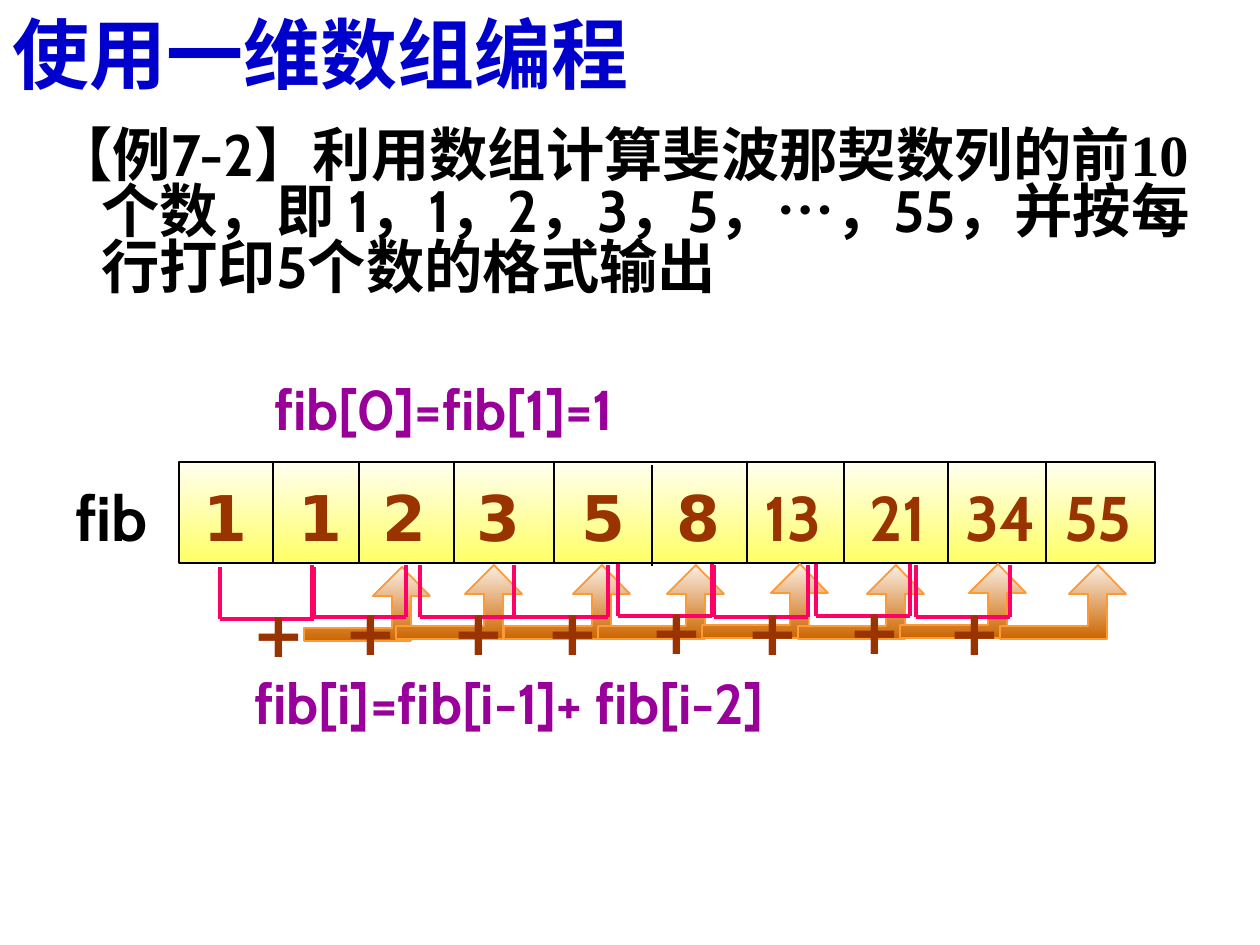
from lxml import etree
from pptx import Presentation
from pptx import util as u
from pptx.dml.color import RGBColor
from pptx.enum import shapes, text
from pptx.oxml.ns import qn

PX = 914400 / 126
BLUE = RGBColor(0x00, 0x00, 0xCC)
BLACK = RGBColor(0x00, 0x00, 0x00)
BROWN = RGBColor(0x99, 0x33, 0x00)
PURPLE = RGBColor(0x99, 0x00, 0x99)
PINK = RGBColor(0xFF, 0x00, 0x66)
ORANGE = RGBColor(0xFF, 0x99, 0x33)
CREAM, YELLOW = RGBColor(0xFF, 0xFF, 0xEF), RGBColor(0xFF, 0xFF, 0x66)
PALE, RUST = RGBColor(0xFA, 0xEF, 0xE5), RGBColor(0xCC, 0x66, 0x00)
CJK = "Noto Sans CJK SC"

presentation = Presentation()
presentation.slide_width, presentation.slide_height = u.Inches(10), u.Inches(7.5)
slide = presentation.slides.add_slide(presentation.slide_layouts[6])


def add_text(box, runs, size, color, align=text.PP_ALIGN.LEFT, wrap=True):
    """Add a one-paragraph text box; runs are (words, font name) pairs."""
    shape = slide.shapes.add_textbox(*(round(value * PX) for value in box))
    shape.text_frame.word_wrap = wrap
    paragraph = shape.text_frame.paragraphs[0]
    paragraph.alignment = align
    for words, font_name in runs:
        run = paragraph.add_run()
        run.text = words
        for name, value in {"name": font_name, "size": u.Pt(size), "bold": True}.items():
            setattr(run.font, name, value)
        run.font.color.rgb = color
        east_asian = etree.SubElement(run.font._element, qn("a:ea"))
        east_asian.set("typeface", CJK)
    return shape


def add_line(x1, y1, x2, y2, color, width):
    line = slide.shapes.add_connector(
        shapes.MSO_CONNECTOR.STRAIGHT, *(round(value * PX) for value in (x1, y1, x2, y2)))
    line.line.color.rgb = color
    line.line.width = u.Pt(width)
    etree.SubElement(line._element.spPr, qn("a:effectLst"))


# Title and task
title = add_text((0, 0, 1092, 105), [("使用一维数组编程", CJK)], 44, BLUE)
title.text_frame.vertical_anchor = text.MSO_ANCHOR.BOTTOM

task = add_text((42, 126, 1187, 231), [
    ("【例", "Times New Roman"),
    ("7-2", "Cabin"),
    ("】利用数组计算斐波那契数列的前10个数，即 ", "Times New Roman"),
    ("1，1，2，3，5，", "Cabin"),
    ("…", "Times New Roman"),
    ("，55，并按每行打印5个数的格式输出", "Cabin"),
], 33.3, BLACK)
task_paragraph = task.text_frame.paragraphs[0]
task_paragraph.line_spacing = 0.8
indent = round(47 * PX)
task_paragraph._p.get_or_add_pPr().set("marL", str(indent))
task_paragraph._p.get_or_add_pPr().set("indent", str(-indent))

# Array row with its dividers
array = slide.shapes.add_shape(
    shapes.MSO_SHAPE.RECTANGLE, *(round(value * PX) for value in (179, 462, 976, 101)))
gradient_shapes = [(array, CREAM, YELLOW, BLACK)]
for x in (273, 359, 454, 554, 652, 747, 844, 948, 1046):
    top = 465 if x == 652 else 462
    add_line(x, top, x, top + 101, BLACK, 1)

# Array name and values
add_text((63, 472, 116, 88), [("fib", "Cabin")], 36, BLACK)
values = (1, 1, 2, 3, 5, 8, 13, 21, 34, 55)
value_lefts = (189, 284, 368, 462, 567, 662, 735, 840, 943, 1040)
for value, left in zip(values, value_lefts):
    width, font_name = (73, "DejaVu Sans") if value < 10 else (116, "Cabin")
    add_text((left, 472, width, 88), [(str(value), font_name)], 36, BROWN,
             text.PP_ALIGN.CENTER)

# Each bracket joins two values; the bent arrow carries their sum to the next
SPAN, DEPTH = 94, 52
ARROW = ((98, 0), (69, 29), (88, 29), (88, 61), (0, 61), (0, 74),
         (107, 74), (107, 29), (126, 29))
SHARED_SIDE = 420  # this bracket's right side is the next one's left side
brackets = ((220, 567), (312, 565), (420, 565), (514, 565),
            (618, 564), (714, 565), (816, 564), (916, 565))
for x, y in brackets:
    add_line(x, y, x, y + DEPTH, PINK, 2)
    add_line(x, y + DEPTH, x + SPAN, y + DEPTH, PINK, 2)
    if x != SHARED_SIDE:
        add_line(x + SPAN, y, x + SPAN, y + DEPTH, PINK, 2)
    add_text((x + 20, y + 21, 62, 88), [("+", "DejaVu Sans")], 36, BROWN,
             text.PP_ALIGN.CENTER, wrap=False)
    points = [(x + 84 + dx, y + dy) for dx, dy in ARROW]
    builder = slide.shapes.build_freeform(*points[0], scale=PX)
    builder.add_line_segments(points[1:], close=True)
    gradient_shapes.append((builder.convert_to_shape(), PALE, RUST, ORANGE))

for shape, top_color, bottom_color, line_color in gradient_shapes:
    shape.shadow.inherit = False
    shape.fill.gradient()
    shape.fill.gradient_angle = 270
    for stop, color in zip(shape.fill.gradient_stops, (top_color, bottom_color)):
        stop.color.rgb = color
    shape.line.color.rgb = line_color
    shape.line.width = u.Pt(1)

# Formulas
add_text((262, 368, 525, 79), [("fib[0]=fib[1]=1", "Cabin")], 32, PURPLE)
add_text((242, 662, 766, 79), [("fib[i]=fib[i-1]+ fib[i-2]", "Cabin")], 32, PURPLE)

presentation.save("out.pptx")
